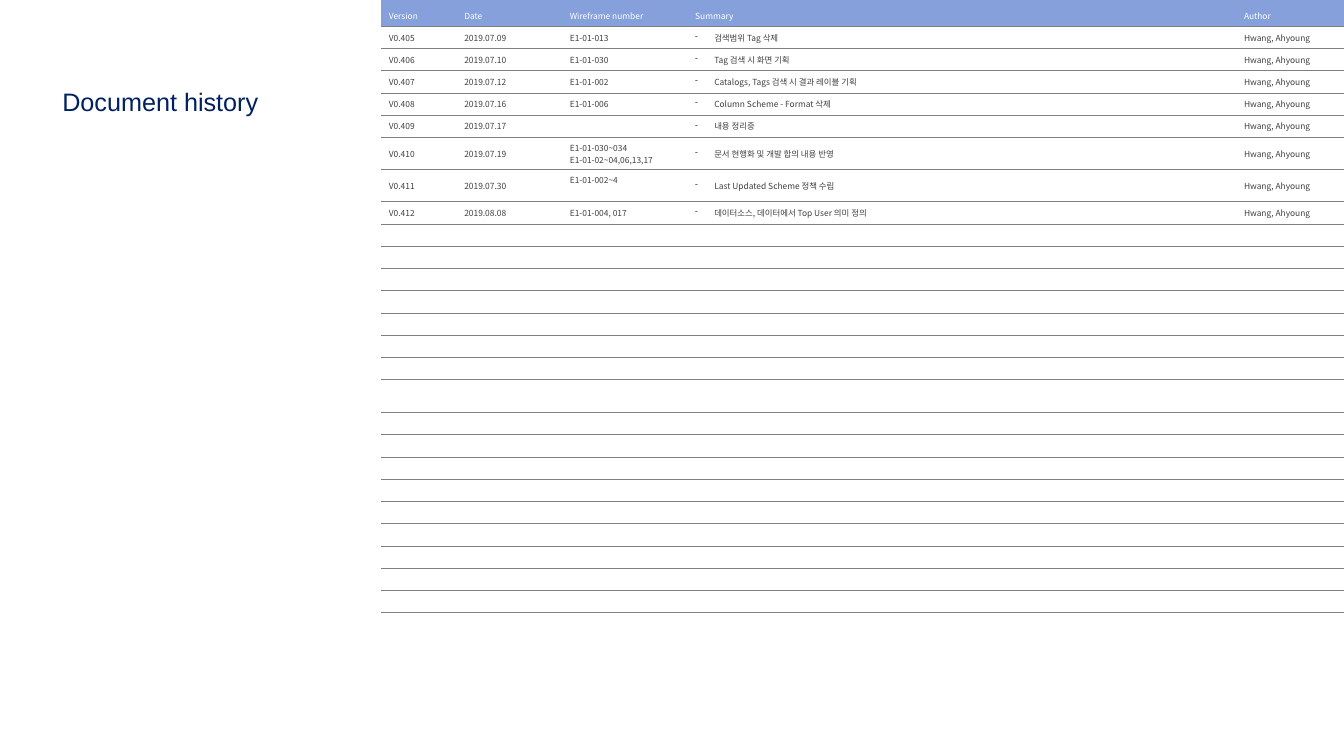
"""Build the document history slide with its version table."""
import lxml.etree
import pptx
import pptx.dml.color
import pptx.enum.text
import pptx.oxml.ns
import pptx.util

Cm = pptx.util.Cm
Pt = pptx.util.Pt
qn = pptx.oxml.ns.qn
MIDDLE = pptx.enum.text.MSO_ANCHOR.MIDDLE
TOP = pptx.enum.text.MSO_ANCHOR.TOP

TITLE = "Document history"
HEADER = ("Version", "Date", "Wireframe number", "Summary", "Author")
AUTHOR = "Hwang, Ahyoung"
HISTORY = [
    ("V0.405", "2019.07.09", "E1-01-013", "검색범위 Tag 삭제", AUTHOR),
    ("V0.406", "2019.07.10", "E1-01-030", "Tag 검색 시 화면 기획", AUTHOR),
    ("V0.407", "2019.07.12", "E1-01-002", "Catalogs, Tags 검색 시 결과 레이블 기획", AUTHOR),
    ("V0.408", "2019.07.16", "E1-01-006", "Column Scheme - Format 삭제", AUTHOR),
    ("V0.409", "2019.07.17", "", "내용 정리중", AUTHOR),
    ("V0.410", "2019.07.19", "E1-01-030~034\nE1-01-02~04,06,13,17",
     "문서 현행화 및 개발 합의 내용 반영", AUTHOR),
    ("V0.411", "2019.07.30", "E1-01-002~4", "Last Updated Scheme 정책 수립", AUTHOR),
    ("V0.412", "2019.08.08", "E1-01-004, 017", "데이터소스, 데이터에서 Top User 의미 정의", AUTHOR),
]
EMPTY_ROWS = 17
COLUMN_WIDTHS = (1.9, 2.66, 3.16, 13.83, 2.71)
ROW_HEIGHT = 0.56
SPECIAL_HEIGHTS = {0: 0.66, 6: 0.81, 7: 0.81, 16: 0.83}
TOP_ALIGNED = (7, 2)
SUMMARY = 3
TABLE_FONT = "Noto Sans CJK KR"
NO_STYLE = "{2D5ABB26-0587-4C30-8999-92F81FD0307C}"


def color(value):
    return pptx.dml.color.RGBColor.from_string(value)


def style_font(font, name, size, value):
    font.name = name
    font.size = Pt(size)
    font.color.rgb = color(value)


def add_rules(cell, sides):
    properties = cell._tc.get_or_add_tcPr()
    for position, side in enumerate(sides):
        line = lxml.etree.Element(qn(f"a:{side}"), w=str(Pt(0.25)))
        fill = lxml.etree.SubElement(line, qn("a:solidFill"))
        lxml.etree.SubElement(fill, qn("a:srgbClr"), val="808080")
        properties.insert(position, line)


def add_dash(para):
    properties = para._p.get_or_add_pPr()
    properties.set("marL", str(Cm(0.48)))
    properties.set("indent", str(-Cm(0.48)))
    lxml.etree.SubElement(properties, qn("a:buFontTx"))
    lxml.etree.SubElement(properties, qn("a:buChar"), char="-")


def fill_cell(cell, text, row, column):
    is_header = row == 0
    cell.text_frame.text = text
    cell.vertical_anchor = TOP if (row, column) == TOP_ALIGNED else MIDDLE
    cell.margin_left = cell.margin_right = Cm(0.2)
    cell.margin_top = cell.margin_bottom = Cm(0.1)
    cell.fill.solid()
    cell.fill.fore_color.rgb = color("86A0DB" if is_header else "FFFFFF")
    add_rules(cell, ("lnB",) if is_header else ("lnT", "lnB"))
    for para in cell.text_frame.paragraphs:
        if is_header:
            para.line_spacing = 1.5
        elif column == SUMMARY and text:
            add_dash(para)
        for span in para.runs:
            style_font(span.font, TABLE_FONT, 6, "FFFFFF" if is_header else "404040")
            span.font._element.find(qn("a:latin")).addnext(
                lxml.etree.Element(qn("a:ea"), typeface=TABLE_FONT))
        ending = lxml.etree.SubElement(para._p, qn("a:endParaRPr"), sz="600")
        for script in ("latin", "ea"):
            lxml.etree.SubElement(ending, qn(f"a:{script}"), typeface=TABLE_FONT)


def add_history(page):
    rows = [HEADER, *HISTORY, *[("",) * len(HEADER)] * EMPTY_ROWS]
    heights = [SPECIAL_HEIGHTS.get(row, ROW_HEIGHT) for row in range(len(rows))]
    frame = page.shapes.add_table(len(rows), len(HEADER), Cm(9.6), Cm(0),
                                  Cm(sum(COLUMN_WIDTHS)), Cm(sum(heights)))
    table = frame.table
    table.horz_banding = False
    table._tbl.tblPr.find(qn("a:tableStyleId")).text = NO_STYLE
    for column, width in zip(table.columns, COLUMN_WIDTHS):
        column.width = Cm(width)
    for row, texts in enumerate(rows):
        table.rows[row].height = Cm(heights[row])
        for column, text in enumerate(texts):
            fill_cell(table.cell(row, column), text, row, column)


def add_title(page):
    box = page.shapes.add_textbox(Cm(1.32), Cm(2.16), Cm(29.21), Cm(0.91))
    box.text_frame.word_wrap = True
    box.text_frame.vertical_anchor = MIDDLE
    box.text_frame.text = TITLE
    para = box.text_frame.paragraphs[0]
    para.line_spacing = 0.9
    style_font(para.runs[0].font, "Arial", 18, "002060")


def main():
    deck = pptx.Presentation()
    deck.slide_width = Cm(33.87)
    deck.slide_height = Cm(19.05)
    page = deck.slides.add_slide(deck.slide_layouts[6])
    add_history(page)
    add_title(page)
    deck.save("out.pptx")


if __name__ == "__main__":
    main()
